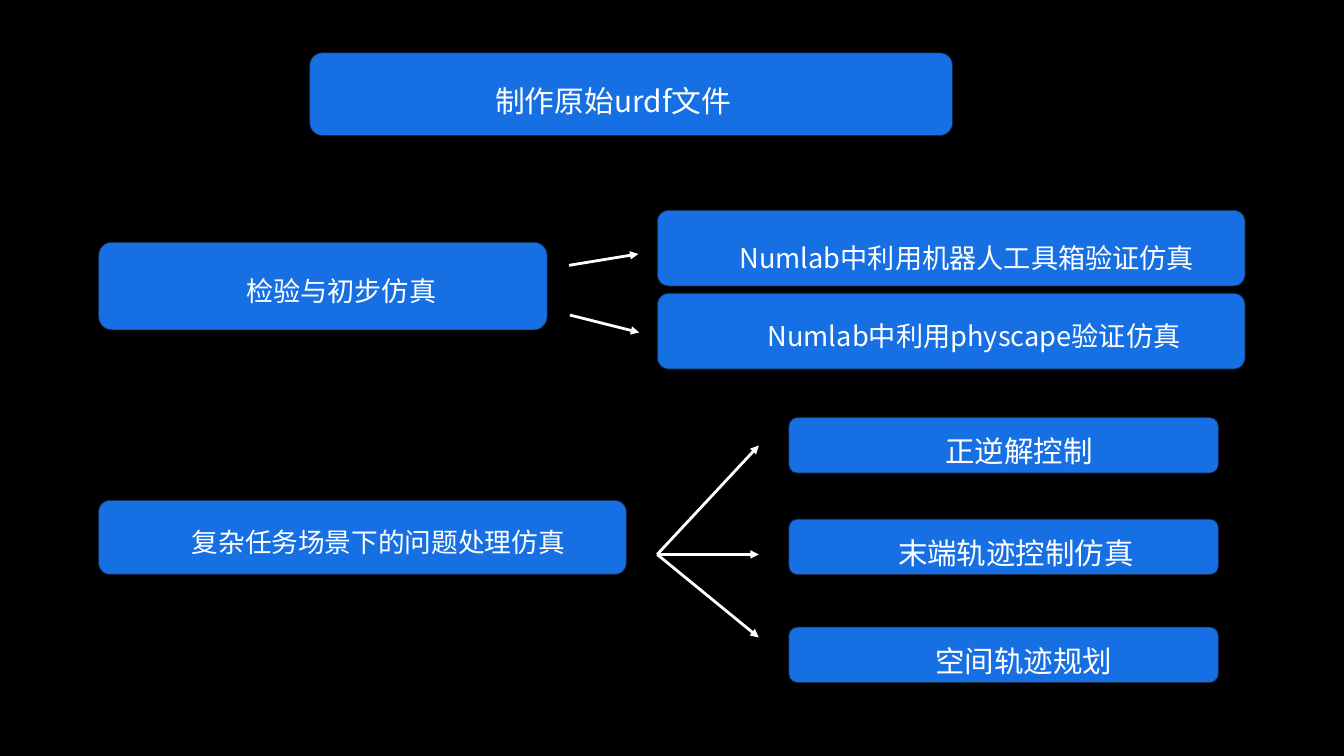
from lxml import etree
from pptx import Presentation
from pptx.dml.color import RGBColor
from pptx.enum.shapes import MSO_CONNECTOR, MSO_SHAPE
from pptx.enum.text import PP_ALIGN
from pptx.oxml.ns import qn
from pptx.util import Cm, Pt

ROUNDED = MSO_SHAPE.ROUNDED_RECTANGLE
STRAIGHT = MSO_CONNECTOR.STRAIGHT
CENTER = PP_ALIGN.CENTER

BLACK = RGBColor(0x00, 0x00, 0x00)
WHITE = RGBColor(0xFF, 0xFF, 0xFF)
BLUE = RGBColor(0x16, 0x70, 0xE4)
NAVY = RGBColor(0x17, 0x2C, 0x51)

FONT = "Noto Sans CJK JP"
LINE_PITCH = 1.93  # line spacing as a multiple of the text size
CORNER = 0.15

# Panel as left, top, width, height; label as centre x, top, width, size.
STEPS = [
    ((11.71, 2.0, 24.29, 3.12), (23.18, 2.29, 10.24, 31.9), "制作原始urdf文件"),
    ((3.73, 9.16, 16.95, 3.31), (12.9, 9.63, 8.41, 29.1), "检验与初步仿真"),
    ((24.85, 7.95, 22.21, 2.86), (36.55, 8.36, 17.73, 29.1),
     "Numlab中利用机器人工具箱验证仿真"),
    ((24.85, 11.09, 22.21, 2.86), (36.82, 11.33, 16.79, 29.1),
     "Numlab中利用physcape验证仿真"),
    ((3.73, 18.92, 19.94, 2.79), (14.3, 19.15, 14.48, 28.6),
     "复杂任务场景下的问题处理仿真"),
]

# Task panels share their size: top, label centre x, label width, text.
TASKS = [
    (15.79, 38.52, 6.68, "正逆解控制"),
    (19.63, 38.4, 9.75, "末端轨迹控制仿真"),
    (23.71, 38.69, 8.08, "空间轨迹规划"),
]
TASK_LEFT, TASK_WIDTH, TASK_HEIGHT = 29.82, 16.23, 2.09
TASK_SIZE, TASK_LABEL_RISE = 31.6, 0.23

CHECK_ARROWS = [((21.51, 10.03), (24.13, 9.6)), ((21.54, 11.91), (24.16, 12.57))]
FAN_START = (24.84, 20.96)
FAN_END_X = 28.68
FAN_END_TOPS = [24.1, 20.96, 16.84]


def add_panel(slide, left, top, width, height):
    panel = slide.shapes.add_shape(ROUNDED, Cm(left), Cm(top), Cm(width), Cm(height))
    panel.adjustments[0] = CORNER
    panel.shadow.inherit = False
    panel.fill.solid()
    panel.fill.fore_color.rgb = BLUE
    panel.line.color.rgb = NAVY
    panel.line.width = Pt(0.7)


def add_label(slide, text, center, top, width, size):
    """Add one centred line of white text around the given centre x."""
    height = Pt(size * LINE_PITCH)
    box = slide.shapes.add_textbox(Cm(center - width / 2), Cm(top), Cm(width), height)
    frame = box.text_frame
    frame.word_wrap = True
    frame.margin_left = frame.margin_right = 0
    frame.margin_top = frame.margin_bottom = 0
    para = frame.paragraphs[0]
    para.alignment = CENTER
    para.line_spacing = height
    span = para.add_run()
    span.text = text
    span.font.size = Pt(size)
    span.font.name = FONT
    span.font.color.rgb = WHITE
    east_asian = etree.SubElement(span.font._element, qn("a:ea"))
    east_asian.set("typeface", FONT)


def add_arrow(slide, start, end):
    arrow = slide.shapes.add_connector(
        STRAIGHT, *[Cm(length) for length in (*start, *end)])
    arrow.line.color.rgb = WHITE
    arrow.line.width = Pt(3)
    etree.SubElement(arrow.line._get_or_add_ln(), qn("a:tailEnd"), type="triangle")
    etree.SubElement(arrow._element.spPr, qn("a:effectLst"))


def main():
    deck = Presentation()
    deck.slide_width, deck.slide_height = Cm(50.8), Cm(28.58)
    page = deck.slides.add_slide(deck.slide_layouts[6])
    page.background.fill.solid()
    page.background.fill.fore_color.rgb = BLACK

    for panel, label, text in STEPS:
        add_panel(page, *panel)
        add_label(page, text, *label)
    for top, center, width, text in TASKS:
        add_panel(page, TASK_LEFT, top, TASK_WIDTH, TASK_HEIGHT)
        add_label(page, text, center, top - TASK_LABEL_RISE, width, TASK_SIZE)

    for start, end in CHECK_ARROWS:
        add_arrow(page, start, end)
    for top in FAN_END_TOPS:
        add_arrow(page, FAN_START, (FAN_END_X, top))

    deck.save("out.pptx")


if __name__ == "__main__":
    main()
